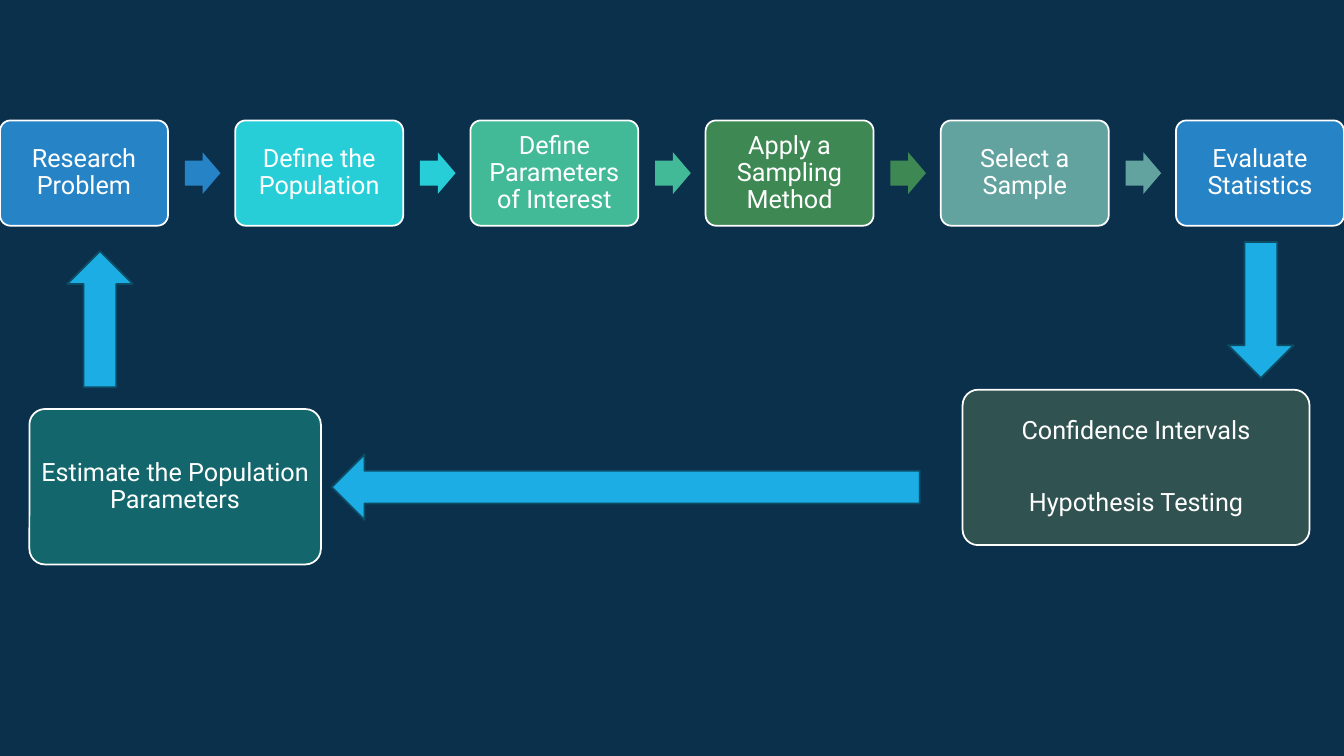
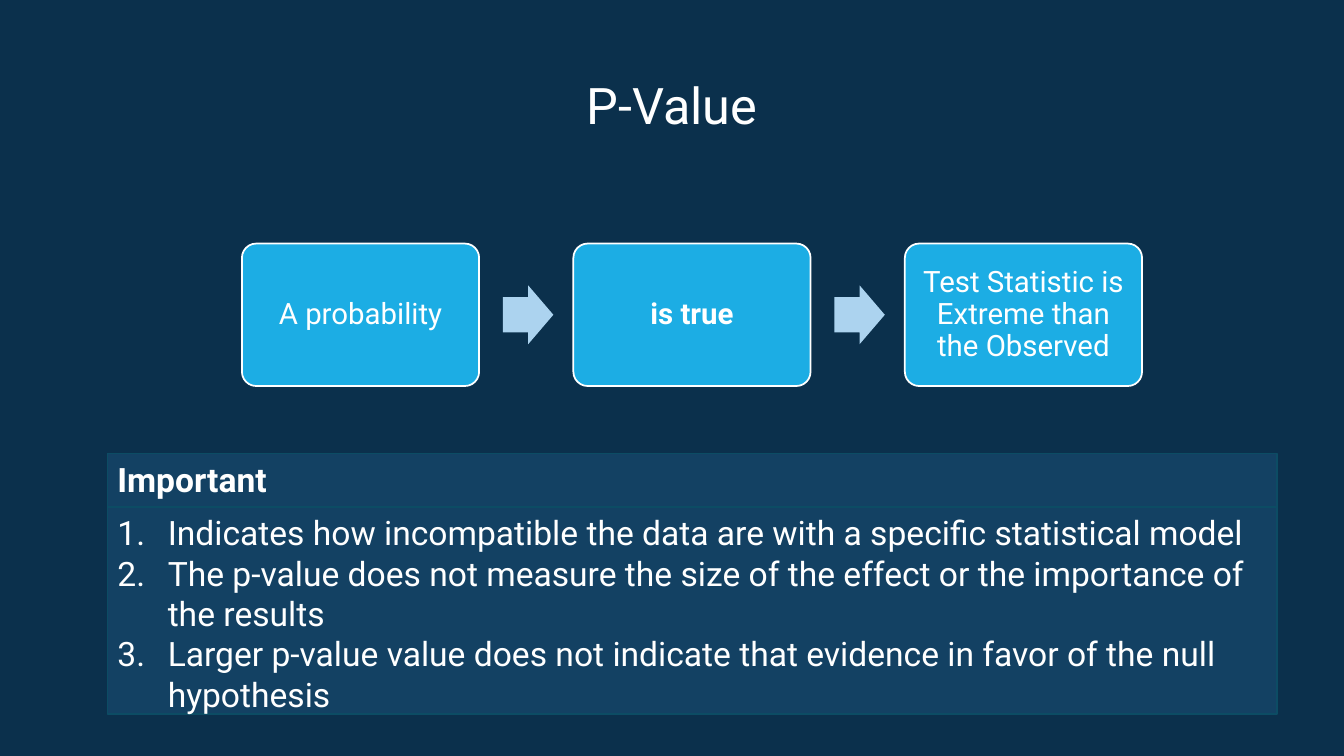
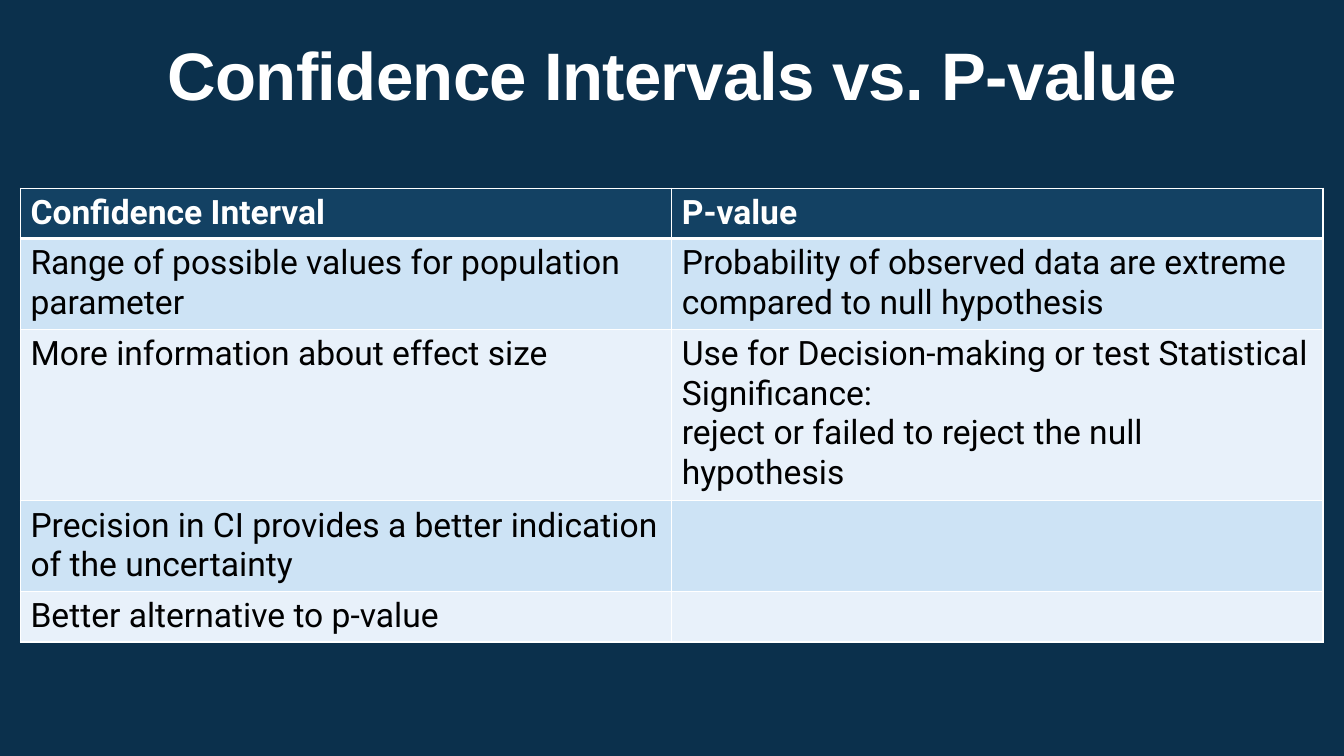
"""Build three slides on statistical inference, p-values and confidence intervals."""
from dataclasses import dataclass

from lxml.etree import SubElement
from pptx import Presentation
from pptx.dml.color import RGBColor
from pptx.enum.shapes import MSO_SHAPE
from pptx.enum.text import MSO_ANCHOR, PP_ALIGN
from pptx.oxml.ns import qn
from pptx.util import Emu, Inches, Pt


@dataclass(frozen=True)
class Theme:
    """Colours, fonts and type sizes of the deck."""
    night: str = "0B304C"
    navy: str = "134163"
    edge: str = "0C4C64"
    white: str = "FFFFFF"
    black: str = "000000"
    sky: str = "1CADE4"
    pale: str = "ACD3EF"
    blue: str = "2683C6"
    cyan: str = "27CED7"
    mint: str = "42BA97"
    green: str = "3E8853"
    sage: str = "62A39F"
    teal: str = "13676C"
    moss: str = "305250"
    bands: tuple = ("CDE3F5", "E8F1FA")
    font: str = "Roboto"
    headline_font: str = "Arial"
    headline: int = 48
    title: int = 36
    body: int = 24
    step: int = 21
    label: int = 18
    outline: float = 1.25


class Deck:
    """Draws elements on the current page, placed on a grid of 80 by 45 cells."""
    columns, rows = 80, 45

    def __init__(self, theme):
        self.theme = theme
        self.deck = Presentation()
        self.deck.slide_width, self.deck.slide_height = Inches(40 / 3), Inches(7.5)
        self.paint(self.deck.slide_master.background.fill, theme.night)
        self.page = None

    def new_page(self):
        """Start a blank page."""
        self.page = self.deck.slides.add_slide(self.deck.slide_layouts[6])

    def place(self, left, top, width, height):
        """Turn grid cells into slide lengths."""
        across = self.deck.slide_width / self.columns
        down = self.deck.slide_height / self.rows
        return [Emu(round(length)) for length in
                (left * across, top * down, width * across, height * down)]

    def paint(self, fill, colour):
        """Fill with one solid colour."""
        fill.solid()
        fill.fore_color.rgb = RGBColor.from_string(colour)

    def add_text(self, frame, texts, size, colour=None, font=None, bold=False,
                 align=PP_ALIGN.LEFT, spacing=None, gap=0, numbered=False, tracking=None):
        """Add one paragraph per text."""
        frame.word_wrap = True
        for index, text in enumerate(texts):
            para = frame.add_paragraph() if index else frame.paragraphs[0]
            para.alignment = align
            if spacing:
                para.line_spacing = spacing
            if gap and index:
                para.space_before = Pt(gap)
            if numbered:
                properties = para._p.get_or_add_pPr()
                properties.set("marL", str(Inches(0.5)))
                properties.set("indent", str(-Inches(0.5)))
                SubElement(properties, qn("a:buFont"), typeface="+mj-lt")
                SubElement(properties, qn("a:buAutoNum"), type="arabicPeriod")
            span = para.add_run()
            span.text = text
            span.font.name = font or self.theme.font
            span.font.size = Pt(size)
            span.font.bold = bold
            span.font.color.rgb = RGBColor.from_string(colour or self.theme.white)
            if tracking:
                span._r.get_or_add_rPr().set("spc", str(tracking))

    def shape(self, kind, area, fill, line=None, adjustments=()):
        """Draw a preset shape without a shadow."""
        shape = self.page.shapes.add_shape(kind, *self.place(*area))
        shape.shadow.inherit = False
        self.paint(shape.fill, fill)
        if line:
            shape.line.color.rgb = RGBColor.from_string(line)
            shape.line.width = Pt(self.theme.outline)
        else:
            shape.line.fill.background()
        for index, value in enumerate(adjustments):
            shape.adjustments[index] = value
        return shape

    def card(self, area, texts, fill, size, inset, gap=0):
        """Draw a rounded box with centred text."""
        box = self.shape(MSO_SHAPE.ROUNDED_RECTANGLE, area, fill, self.theme.white, [0.1])
        frame = box.text_frame
        frame.margin_left = frame.margin_right = Inches(inset)
        frame.margin_top = frame.margin_bottom = Inches(inset)
        frame.vertical_anchor = MSO_ANCHOR.MIDDLE
        self.add_text(frame, texts, size, align=PP_ALIGN.CENTER, spacing=0.9, gap=gap)
        return box

    def flow(self, steps, area, pitch, arrow, size, inset):
        """Draw a row of cards, each (text, fill, arrow fill), joined by arrows."""
        left, top, width, height = area
        offset, arrow_width, arrow_height = arrow
        cards = []
        for index, (text, fill, arrow_fill) in enumerate(steps):
            start = left + index * pitch
            cards.append(self.card((start, top, width, height), [text], fill, size, inset))
            if index < len(steps) - 1:
                self.shape(MSO_SHAPE.RIGHT_ARROW,
                           (start + offset, top + (height - arrow_height) / 2,
                            arrow_width, arrow_height), arrow_fill, adjustments=[0.6, 0.5])
        return cards

    def block_arrow(self, kind, area):
        """Draw a large arrow of the outer loop."""
        self.shape(kind, area, self.theme.sky, self.theme.edge)

    def panel(self, area, texts, **style):
        """Draw a dark panel with text from its top left corner."""
        box = self.shape(MSO_SHAPE.RECTANGLE, area, self.theme.navy, self.theme.edge)
        box.text_frame.vertical_anchor = MSO_ANCHOR.TOP
        self.add_text(box.text_frame, texts, self.theme.body, **style)

    def heading(self, area, text, size, **style):
        """Add a centred heading."""
        box = self.page.shapes.add_textbox(*self.place(*area))
        self.add_text(box.text_frame, [text], size, align=PP_ALIGN.CENTER, **style)

    def border(self, cell, side, width):
        """Draw one white cell border."""
        line = SubElement(cell._tc.get_or_add_tcPr(), qn(f"a:ln{side}"), w=str(Pt(width)))
        fill = SubElement(line, qn("a:solidFill"))
        SubElement(fill, qn("a:srgbClr"), val=self.theme.white)

    def table(self, left, top, width, heights, content):
        """Draw a banded table; each cell is a list of paragraphs."""
        area = self.place(left, top, width, sum(heights))
        table = self.page.shapes.add_table(len(content), len(content[0]), *area).table
        table.horz_banding = False
        for row, (height, cells) in enumerate(zip(heights, content)):
            table.rows[row].height = self.place(0, 0, 0, height)[3]
            header = row == 0
            fill = self.theme.navy if header else self.theme.bands[(row - 1) % 2]
            for column, texts in enumerate(cells):
                cell = table.cell(row, column)
                for side in "LRTB":
                    heavy = (row, side) in ((0, "B"), (1, "T"))
                    self.border(cell, side, 3 if heavy else 1)
                self.paint(cell.fill, fill)
                self.add_text(cell.text_frame, texts, self.theme.body, bold=header,
                              colour=self.theme.white if header else self.theme.black)


def research_cycle(deck):
    """Draw the research cycle."""
    theme = deck.theme
    deck.new_page()
    steps = [("Research Problem", theme.blue), ("Define the Population", theme.cyan),
             ("Define Parameters of Interest", theme.mint),
             ("Apply a Sampling Method", theme.green),
             ("Select a Sample", theme.sage), ("Evaluate Statistics", theme.blue)]
    deck.flow([(text, fill, fill) for text, fill in steps], (0, 7.17, 10, 6.27), 14,
              (11, 2.12, 2.48), theme.label, 0.08)
    deck.card((1.75, 24.35, 17.35, 9.25), ["Estimate the Population Parameters"],
              theme.teal, theme.label, 0.07)
    deck.card((57.3, 23.2, 20.65, 9.25), ["Confidence Intervals", "Hypothesis Testing"],
              theme.moss, theme.label, 0.07, gap=32)
    deck.block_arrow(MSO_SHAPE.DOWN_ARROW, (73.1, 14.4, 3.9, 8.1))
    deck.block_arrow(MSO_SHAPE.LEFT_ARROW, (19.75, 27.05, 35, 3.9))
    deck.block_arrow(MSO_SHAPE.UP_ARROW, (4, 14.95, 3.9, 8.1))


def p_value(deck):
    """Explain the p-value."""
    theme = deck.theme
    deck.new_page()
    deck.heading((20, 2.3, 40, 5.45), "P-Value", theme.title, spacing=1.5)
    labels = ["A probability", "is true", "Test Statistic is Extreme than the Observed"]
    cards = deck.flow([(text, theme.sky, theme.pale) for text in labels],
                      (14.4, 14.5, 14.12, 8.48), 19.73, (15.54, 3, 3.5), theme.step, 0.09)
    cards[1].text_frame.paragraphs[0].runs[0].font.bold = True
    deck.panel((6.4, 27, 69.6, 3.2), ["Important"], bold=True)
    deck.panel((6.4, 30.2, 69.6, 12.3), [
        "Indicates how incompatible the data are with a specific statistical model",
        "The p-value does not measure the size of the effect or the importance of the results",
        "Larger p-value value does not indicate that evidence in favor of the null hypothesis",
    ], numbered=True)


def comparison(deck):
    """Compare confidence intervals with the p-value."""
    theme = deck.theme
    deck.new_page()
    deck.heading((5.5, 2.4, 69, 8.7), "Confidence Intervals vs. P-value", theme.headline,
                 font=theme.headline_font, bold=True, spacing=0.85, tracking=-50)
    deck.table(1.22, 11.2, 77.54, [3, 5.4, 10.2, 5.4, 3], [
        [["Confidence Interval"], ["P-value"]],
        [["Range of possible values for population parameter"],
         ["Probability of observed data are extreme compared to null hypothesis"]],
        [["More information about effect size"],
         ["Use for Decision-making or test Statistical Significance:",
          "reject or failed to reject the null hypothesis"]],
        [["Precision in CI provides a better indication of the uncertainty"], []],
        [["Better alternative to p-value"], []],
    ])


def main():
    """Build and save the deck."""
    deck = Deck(Theme())
    for draw in (research_cycle, p_value, comparison):
        draw(deck)
    deck.deck.save("out.pptx")


if __name__ == "__main__":
    main()
